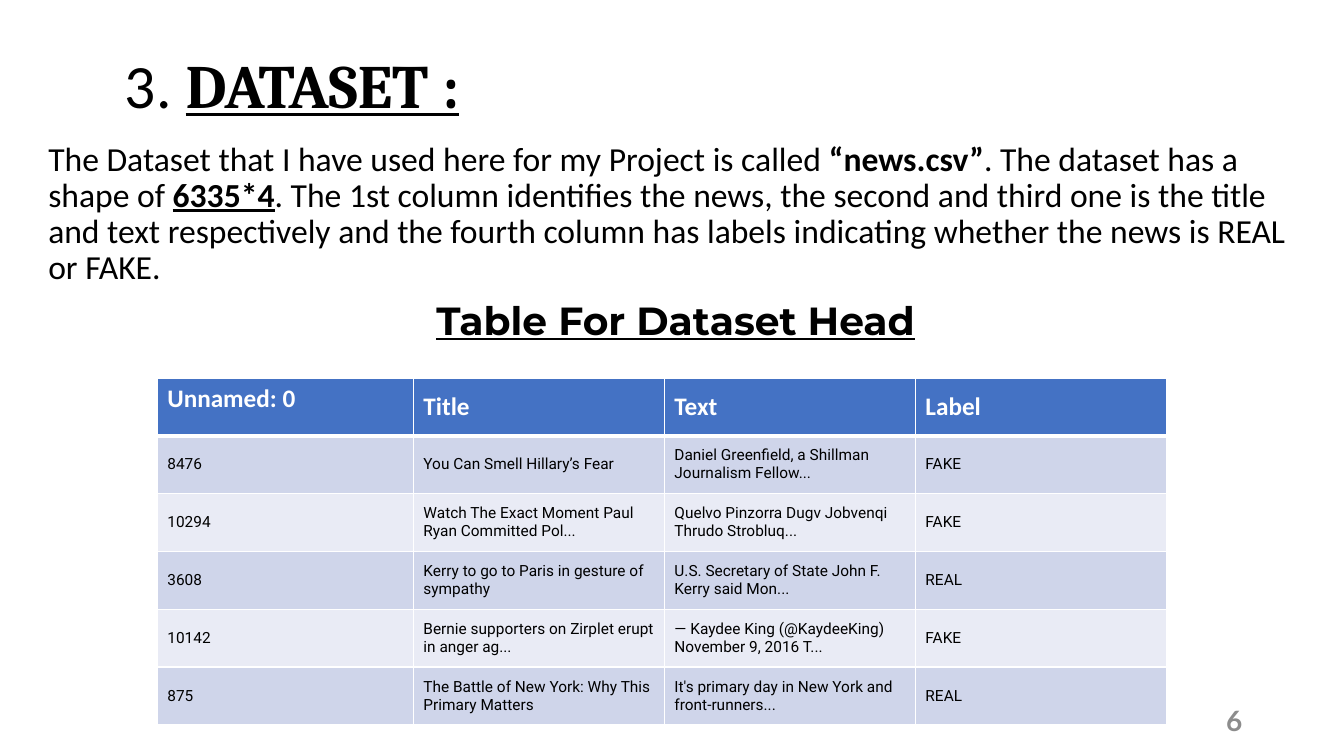
from pptx import Presentation
from pptx.dml.color import RGBColor
from pptx.enum import text
from pptx.oxml import parse_xml
from pptx.oxml.ns import nsdecls
from pptx.util import Inches, Pt


def add_run(paragraph, words, size, font, color, bold=False, underline=False):
    run = paragraph.add_run()
    run.text = words
    run.font.size = Pt(size)
    run.font.name = font
    run.font.bold = bold
    run.font.underline = underline
    run.font.color.rgb = RGBColor.from_string(color)


def add_border(cell, side, color, points):
    cell._tc.get_or_add_tcPr().append(parse_xml(
        f'<a:{side} {nsdecls("a")} w="{Pt(points)}"><a:solidFill>'
        f'<a:srgbClr val="{color}"/></a:solidFill></a:{side}>'))


BLACK, WHITE, GREY = "000000", "FFFFFF", "8C8C8C"
HEADER_BLUE, BANDS = "4472C4", ("CFD5EA", "E9EBF5")

prs = Presentation()
prs.slide_width, prs.slide_height = Inches(13.33), Inches(7.5)
slide = prs.slides.add_slide(prs.slide_layouts[5])

# Title
title = slide.shapes.title
title.left, title.top = Inches(1), Inches(0.4)
title.width, title.height = Inches(11.32), Inches(0.95)
title.text_frame.auto_size = text.MSO_AUTO_SIZE.NONE
title.text_frame.vertical_anchor = text.MSO_ANCHOR.MIDDLE
heading = title.text_frame.paragraphs[0]
heading.alignment = text.PP_ALIGN.LEFT
heading.line_spacing = 0.9
add_run(heading, " 3. ", 44, "Calibri", BLACK)
add_run(heading, "DATASET :", 44, "Cambria", BLACK, True, True)

# Description and table caption
body = slide.shapes.add_textbox(Inches(0.34), Inches(1.36), Inches(12.68), Inches(5.95))
body.text_frame.word_wrap = True
description = body.text_frame.paragraphs[0]
caption = body.text_frame.add_paragraph()
for paragraph in (description, caption):
    paragraph.line_spacing = 0.9
    paragraph.space_before = Pt(10)
    paragraph._p.get_or_add_pPr().set("marL", str(Inches(0.04)))
for words, bold, underline in (
    ("The Dataset that I have used here for my Project is called ", False, False),
    ("“news.csv”", True, False),
    (". The dataset has a shape of ", False, False),
    ("6335*4", True, True),
    (". The 1st column identifies the news, the second and third one is the title "
     "and text respectively and the fourth column has labels indicating whether "
     "the news is REAL or FAKE.", False, False),
):
    add_run(description, words, 24, "Calibri", BLACK, bold, underline)
caption.alignment = text.PP_ALIGN.CENTER
add_run(caption, "Table For Dataset Head", 28, "Montserrat", BLACK, True, True)

# Slide number
number = slide.shapes.add_textbox(Inches(9.42), Inches(6.95), Inches(3), Inches(0.4))
number.text_frame.word_wrap = True
number.text_frame.vertical_anchor = text.MSO_ANCHOR.MIDDLE
number_line = number.text_frame.paragraphs[0]
number_line.alignment = text.PP_ALIGN.RIGHT
add_run(number_line, "6", 20, "Lato", GREY, True)

# Dataset head
records = [
    ("Unnamed: 0", "Title", "Text", "Label"),
    ("8476", "You Can Smell Hillary’s Fear",
     "Daniel Greenfield, a Shillman Journalism Fellow...", "FAKE"),
    ("10294", "Watch The Exact Moment Paul Ryan Committed Pol...",
     "Quelvo Pinzorra Dugv Jobvenqi Thrudo Strobluq...", "FAKE"),
    ("3608", "Kerry to go to Paris in gesture of sympathy",
     "U.S. Secretary of State John F. Kerry said Mon...", "REAL"),
    ("10142", "Bernie supporters on Zirplet erupt in anger ag...",
     "— Kaydee King (@KaydeeKing) November 9, 2016 T...", "FAKE"),
    ("875", "The Battle of New York: Why This Primary Matters",
     "It's primary day in New York and front-runners...", "REAL"),
]
dataset = slide.shapes.add_table(len(records), 4, Inches(1.56), Inches(3.75),
                                 Inches(10), Inches(3.44)).table
for column, width in zip(dataset.columns, (2.54, 2.49, 2.49, 2.49)):
    column.width = Inches(width)

for r, record in enumerate(records):
    for c, words in enumerate(record):
        cell = dataset.cell(r, c)
        cell.vertical_anchor = text.MSO_ANCHOR.MIDDLE
        for side in ("lnL", "lnR", "lnT", "lnB"):
            thick = (r, side) in ((0, "lnB"), (1, "lnT"))
            add_border(cell, side, WHITE, 3 if thick else 1)
        cell.fill.solid()
        fill = HEADER_BLUE if r == 0 else BANDS[(r - 1) % 2]
        cell.fill.fore_color.rgb = RGBColor.from_string(fill)
        style = (18, "Calibri", WHITE, True) if r == 0 else (11, "Roboto", BLACK)
        add_run(cell.text_frame.paragraphs[0], words, *style)
dataset.cell(0, 0).vertical_anchor = text.MSO_ANCHOR.TOP

prs.save("out.pptx")
